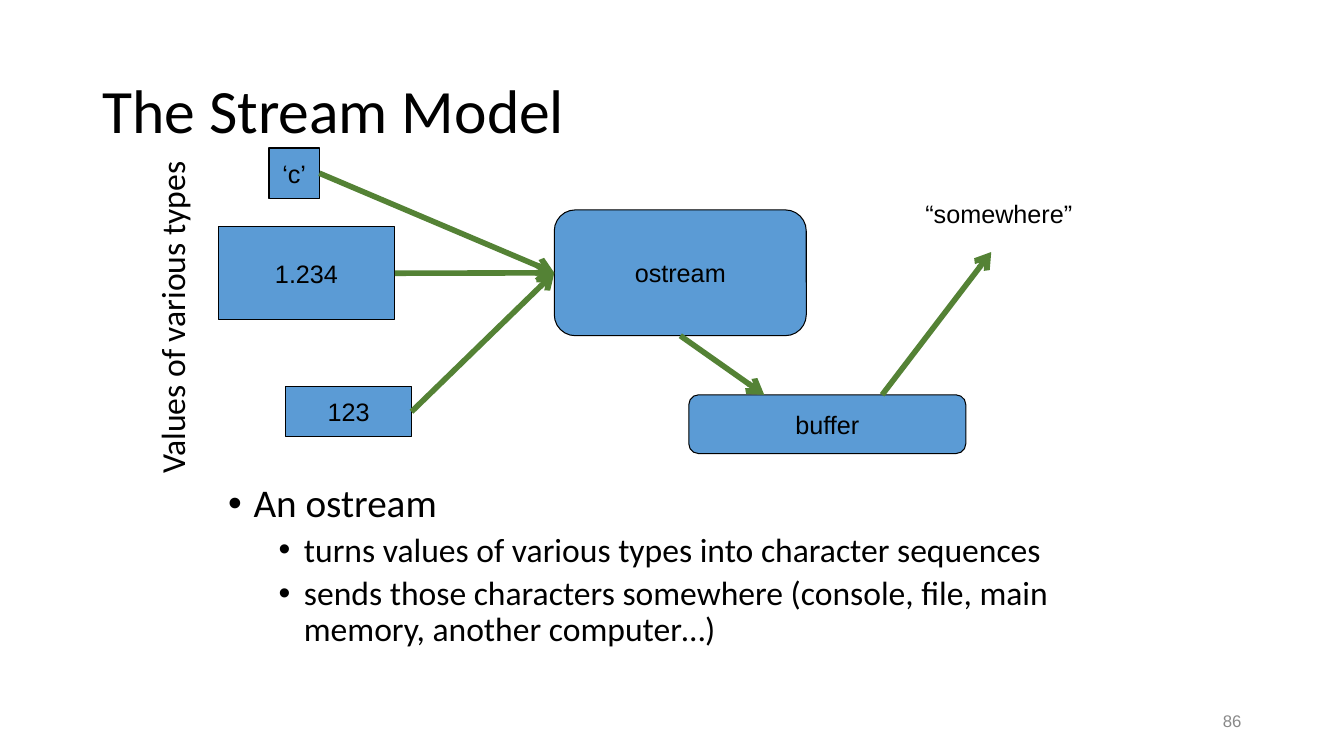
from dataclasses import dataclass

from lxml import etree
from pptx import Presentation
from pptx.dml.color import RGBColor
from pptx.enum.shapes import MSO_CONNECTOR, MSO_SHAPE
from pptx.enum.text import MSO_ANCHOR, PP_ALIGN
from pptx.oxml.ns import qn
from pptx.util import Cm, Pt

RECTANGLE, ROUNDED = MSO_SHAPE.RECTANGLE, MSO_SHAPE.ROUNDED_RECTANGLE
STRAIGHT = MSO_CONNECTOR.STRAIGHT
TOP, MIDDLE = MSO_ANCHOR.TOP, MSO_ANCHOR.MIDDLE
LEFT, CENTER, RIGHT = PP_ALIGN.LEFT, PP_ALIGN.CENTER, PP_ALIGN.RIGHT
LEFT_SITE, BOTTOM_SITE, RIGHT_SITE = 1, 2, 3


@dataclass(frozen=True)
class Theme:
    """Colours, fonts and type sizes of the slide."""
    ink: RGBColor = RGBColor(0x00, 0x00, 0x00)
    muted: RGBColor = RGBColor(0x89, 0x89, 0x89)
    box: RGBColor = RGBColor(0x5B, 0x9B, 0xD5)
    arrow: RGBColor = RGBColor(0x54, 0x82, 0x35)
    text_font: str = "Calibri"
    label_font: str = "Arial"
    title: int = 44
    body: int = 28
    sub_body: int = 24
    label: int = 18
    footer: int = 12


theme = Theme()


def write(paragraph, text, size, font=theme.text_font, color=theme.ink, align=LEFT):
    """Add one formatted run to a paragraph."""
    paragraph.alignment = align
    run = paragraph.add_run()
    run.text = text
    run.font.size = Pt(size)
    run.font.name = font
    run.font.color.rgb = color


def add_text_box(place, anchor=TOP, wrap=True):
    """Add an empty text box and return it."""
    text_box = slide.shapes.add_textbox(*map(Cm, place))
    text_box.text_frame.word_wrap = wrap
    text_box.text_frame.vertical_anchor = anchor
    return text_box


presentation = Presentation()
presentation.slide_width = Cm(33.87)
presentation.slide_height = Cm(19.05)
slide = presentation.slides.add_slide(presentation.slide_layouts[6])

# Title
title = add_text_box((2.33, 1.01, 29.21, 3.68), MIDDLE).text_frame.paragraphs[0]
title.line_spacing = 0.9
write(title, "The Stream Model", theme.title)

# Bulleted explanation: text, size, left margin in cm, space before
bullets = [
    ("An ostream", theme.body, 0.64, 10),
    ("turns values of various types into character sequences", theme.sub_body, 1.91, 5),
    ("sends those characters somewhere (console, file, main memory, another computer…)",
     theme.sub_body, 1.91, 5),
]
body = add_text_box((5.5, 12.07, 22.66, 4.95)).text_frame
for index, (text, size, margin, space_before) in enumerate(bullets):
    paragraph = body.add_paragraph() if index else body.paragraphs[0]
    paragraph.line_spacing = 0.9
    paragraph.space_before = Pt(space_before)
    write(paragraph, text, size)
    properties = paragraph._p.get_or_add_pPr()
    properties.set("marL", str(Cm(margin)))
    properties.set("indent", str(-Cm(0.64)))
    etree.SubElement(properties, qn("a:buFont"), typeface=theme.label_font)
    etree.SubElement(properties, qn("a:buChar"), char="•")

# Page number
page_number = add_text_box((23.92, 17.66, 7.62, 1.01), MIDDLE)
write(page_number.text_frame.paragraphs[0], "86", theme.footer,
      theme.label_font, theme.muted, RIGHT)

# Boxes of the model
boxes = [
    ("‘c’", RECTANGLE, (6.78, 3.73, 1.27, 1.27)),
    ("1.234", RECTANGLE, (5.5, 5.72, 4.45, 2.33)),
    ("123", RECTANGLE, (7.2, 9.74, 3.17, 1.27)),
    ("ostream", ROUNDED, (13.97, 5.29, 6.35, 3.17)),
    ("buffer", ROUNDED, (17.36, 9.95, 6.98, 1.48)),
]
box_by_label = {}
for label, kind, place in boxes:
    box = slide.shapes.add_shape(kind, *map(Cm, place))
    box.shadow.inherit = False
    box.fill.solid()
    box.fill.fore_color.rgb = theme.box
    box.line.color.rgb = theme.ink
    box.line.width = Pt(0.75)
    box.text_frame.word_wrap = False
    box.text_frame.vertical_anchor = MIDDLE
    write(box.text_frame.paragraphs[0], label, theme.label, theme.label_font, align=CENTER)
    box_by_label[label] = box

# Arrows: values into the ostream, then through the buffer to somewhere
ostream = box_by_label["ostream"]
arrows = []
for value in ("‘c’", "1.234", "123"):
    arrow = slide.shapes.add_connector(STRAIGHT, 0, 0, 0, 0)
    arrow.begin_connect(box_by_label[value], RIGHT_SITE)
    arrow.end_connect(ostream, LEFT_SITE)
    arrows.append(arrow)

buffer_top = box_by_label["buffer"].top
to_buffer = slide.shapes.add_connector(STRAIGHT, 0, 0, Cm(19.26), buffer_top)
to_buffer.begin_connect(ostream, BOTTOM_SITE)
to_somewhere = slide.shapes.add_connector(STRAIGHT, Cm(22.23), buffer_top, Cm(24.98), Cm(6.35))
arrows += [to_buffer, to_somewhere]

for arrow in arrows:
    arrow.line.color.rgb = theme.arrow
    arrow.line.width = Pt(4)
    etree.SubElement(arrow.line._get_or_add_ln(), qn("a:tailEnd"), type="arrow")
    etree.SubElement(arrow._element.spPr, qn("a:effectLst"))

# Free labels
somewhere = add_text_box((23.07, 4.87, 5.5, 1.02))
write(somewhere.text_frame.paragraphs[0], "“somewhere”", theme.label, theme.label_font)

value_types = add_text_box((0.1, 7.32, 8.46, 1.27), wrap=False)
value_types.rotation = 270
write(value_types.text_frame.paragraphs[0], "Values of various types", theme.sub_body)

presentation.save("out.pptx")
